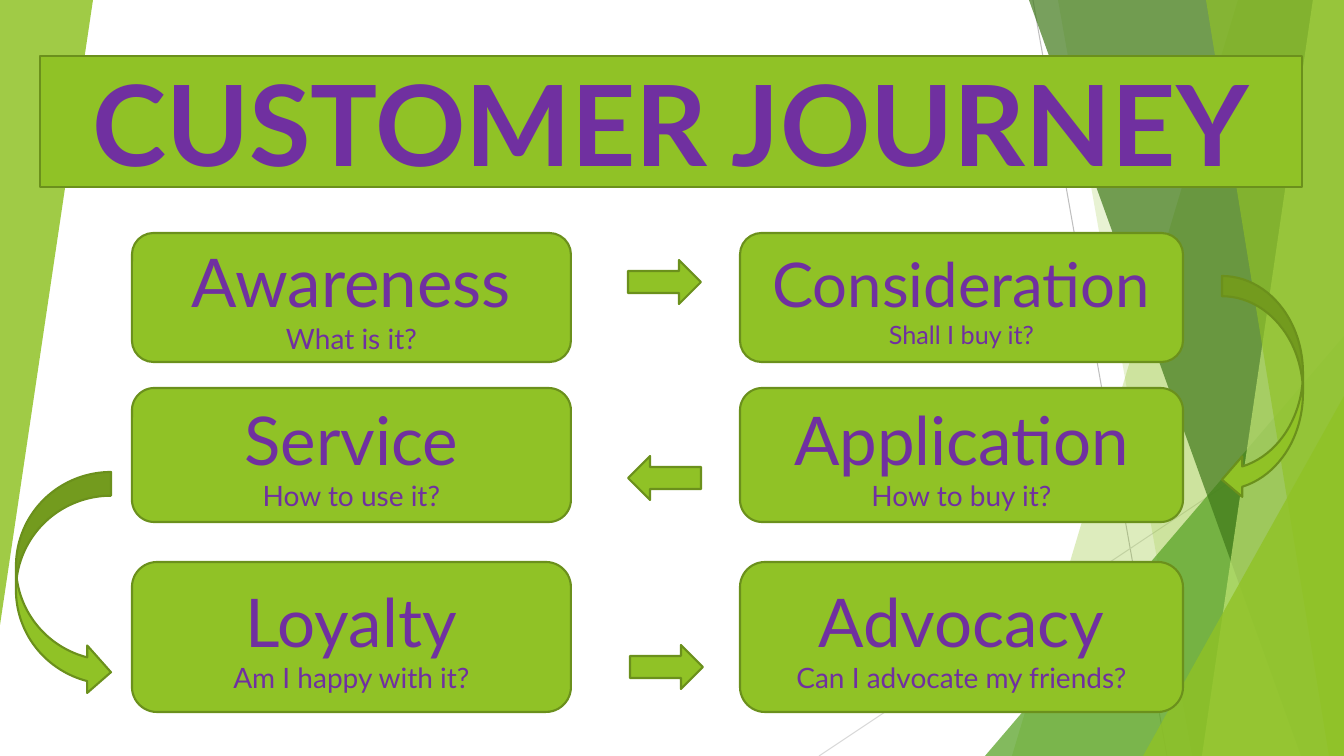
from dataclasses import dataclass

from lxml.etree import SubElement
from pptx import Presentation
from pptx.dml.color import RGBColor
from pptx.enum.shapes import MSO_CONNECTOR, MSO_SHAPE
from pptx.enum.text import MSO_ANCHOR, MSO_AUTO_SIZE, PP_ALIGN
from pptx.oxml.ns import qn
from pptx.util import Pt

WIDTH, HEIGHT = 1344, 756
SCALE = 12192000 / WIDTH


@dataclass(frozen=True)
class Theme:
    """Colours, font and type sizes of the slide."""
    green: str = "90C226"
    outline: str = "6B901C"
    purple: str = "7030A0"
    leaf: str = "54A021"
    forest: str = "3F7819"
    lime: str = "C0E474"
    grey: str = "BFBFBF"
    pale_grey: str = "D9D9D9"
    font: str = "Lato"
    title: int = 80
    stage: int = 48
    question: int = 20
    long_stage: int = 44
    long_question: int = 18
    border: float = 1.5
    hairline: float = 0.75


THEME = Theme()


def emu(pixels):
    """Turn pixels into EMU."""
    return round(pixels * SCALE)


def style_panel(shape):
    """Give a shape the green fill and dark green border."""
    shape.fill.solid()
    shape.fill.fore_color.rgb = RGBColor.from_string(THEME.green)
    shape.line.color.rgb = RGBColor.from_string(THEME.outline)
    shape.line.width = Pt(THEME.border)


def style_veil(shape, color, opacity):
    """Give a shape a translucent fill without border or shadow."""
    shape.shadow.inherit = False
    shape.line.fill.background()
    shape.fill.solid()
    shape.fill.fore_color.rgb = RGBColor.from_string(color)
    fill_color = shape._element.spPr.find(qn("a:solidFill"))[0]
    SubElement(fill_color, qn("a:alpha"), val=str(opacity * 1000))


def write_lines(shape, lines):
    """Write centred purple paragraphs from (text, size) pairs."""
    frame = shape.text_frame
    frame.text = "\n".join(text for text, size in lines)
    frame.word_wrap = True
    frame.auto_size = MSO_AUTO_SIZE.NONE
    frame.vertical_anchor = MSO_ANCHOR.MIDDLE
    for paragraph, (text, size) in zip(frame.paragraphs, lines):
        paragraph.alignment = PP_ALIGN.CENTER
        font = paragraph.runs[0].font
        font.name = THEME.font
        font.size = Pt(size)
        font.color.rgb = RGBColor.from_string(THEME.purple)


def add_preset(slide, kind, box):
    """Add a preset shape in a pixel box."""
    shape = slide.shapes.add_shape(kind, *map(emu, box))
    shape.shadow.inherit = False
    return shape


def add_panel(slide, kind, box):
    """Add a preset shape in the green panel style."""
    shape = add_preset(slide, kind, box)
    style_panel(shape)
    return shape


def add_hairline(slide, start, end, color):
    """Add a thin line between two pixel points."""
    line = slide.shapes.add_connector(MSO_CONNECTOR.STRAIGHT, *map(emu, start + end))
    line.line.color.rgb = RGBColor.from_string(color)
    line.line.width = Pt(THEME.hairline)
    SubElement(line._element.spPr, qn("a:effectLst"))


def add_band(slide, box, top_x, bottom_x, color, opacity):
    """Add a band from a slanted left edge to the right edge of the box."""
    left, top, width, height = box
    right, bottom = left + width, top + height
    builder = slide.shapes.build_freeform(left + top_x, top, SCALE)
    builder.add_line_segments(
        [(right, top), (right, bottom), (left + bottom_x, bottom)], close=True)
    style_veil(builder.convert_to_shape(), color, opacity)


def add_wedge(slide, box, color, opacity, rotation=0):
    """Add a translucent right-angled triangle."""
    wedge = add_preset(slide, MSO_SHAPE.ISOSCELES_TRIANGLE, box)
    wedge.adjustments[0] = 1
    wedge.rotation = rotation
    style_veil(wedge, color, opacity)


def add_backdrop(slide, box):
    """Draw the layered facets along both sides of the box."""
    left, top, width, height = box
    right, bottom = left + width, top + height
    add_hairline(slide, (left + 1033, top), (left + 1167, bottom), THEME.grey)
    add_hairline(slide, (right, top + 406), (left + 819, bottom), THEME.pale_grey)
    add_band(slide, box, 1238, 1012, THEME.green, 30)
    add_band(slide, box, 1058, 1192, THEME.green, 20)
    add_wedge(slide, (right - 359, bottom - 420, 359, 420), THEME.leaf, 72)
    add_band(slide, box, 1029, 1301, THEME.forest, 70)
    add_band(slide, box, 1313, 1202, THEME.lime, 70)
    add_band(slide, box, 1206, 1329, THEME.green, 65)
    add_wedge(slide, (right - 201, bottom - 360, 201, 360), THEME.green, 80)
    add_wedge(slide, (left, top, 93, 625), THEME.green, 85, rotation=180)


def add_title(slide, box):
    """Turn the title placeholder into a rounded banner above the backdrop."""
    title = slide.shapes.title
    title.left, title.top, title.width, title.height = map(emu, box)
    geometry = SubElement(title._element.spPr, qn("a:prstGeom"), prst="roundRect")
    SubElement(geometry, qn("a:avLst"))
    style_panel(title)
    write_lines(title, [("CUSTOMER JOURNEY", THEME.title)])
    title.text_frame.paragraphs[0].runs[0].font.bold = True
    slide.shapes._spTree.append(title._element)


def add_stages(slide, box):
    """Place the six stage cards in a grid of two columns and three rows."""
    left, top, width, height = box
    columns = ((0, 439), (width - 443, 443))
    rows = ((0, 129), (155, 134), (height - 150, 150))
    stages = (
        (("Awareness", "What is it?"), ("Consideration", "Shall I buy it?")),
        (("Service", "How to use it?"), ("Application", "How to buy it?")),
        (("Loyalty", "Am I happy with it?"), ("Advocacy", "Can I advocate my friends?")),
    )
    for (y, card_height), row in zip(rows, stages):
        for (x, card_width), (stage, question) in zip(columns, row):
            sizes = (THEME.stage, THEME.question)
            if stage == "Consideration":
                sizes = (THEME.long_stage, THEME.long_question)
            card = add_panel(slide, MSO_SHAPE.ROUNDED_RECTANGLE,
                             (left + x, top + y, card_width, card_height))
            write_lines(card, list(zip((stage, question), sizes)))


def add_arrows(slide, box):
    """Link the stages with straight arrows and a curved turn on each side."""
    left, top, width, height = box
    for x, y, rotation in ((612, 27, 0), (612, 223, 180), (614, 412, 0)):
        arrow = add_panel(slide, MSO_SHAPE.RIGHT_ARROW, (left + x, top + y, 73, 44))
        arrow.rotation = rotation
    add_panel(slide, MSO_SHAPE.CURVED_LEFT_ARROW, (left + width - 81, top + 43, 81, 224))
    add_panel(slide, MSO_SHAPE.CURVED_RIGHT_ARROW, (left, top + 239, 95, 224))


def build_journey(presentation):
    """Build the customer journey slide."""
    slide = presentation.slides.add_slide(presentation.slide_layouts[5])
    add_backdrop(slide, (0, 0, WIDTH, HEIGHT))
    add_stages(slide, (132, 233, 1051, 479))
    add_title(slide, (40, 56, 1262, 131))
    add_arrows(slide, (16, 233, 1287, 479))


presentation = Presentation()
presentation.slide_width = emu(WIDTH)
presentation.slide_height = emu(HEIGHT)
build_journey(presentation)
presentation.save("out.pptx")
